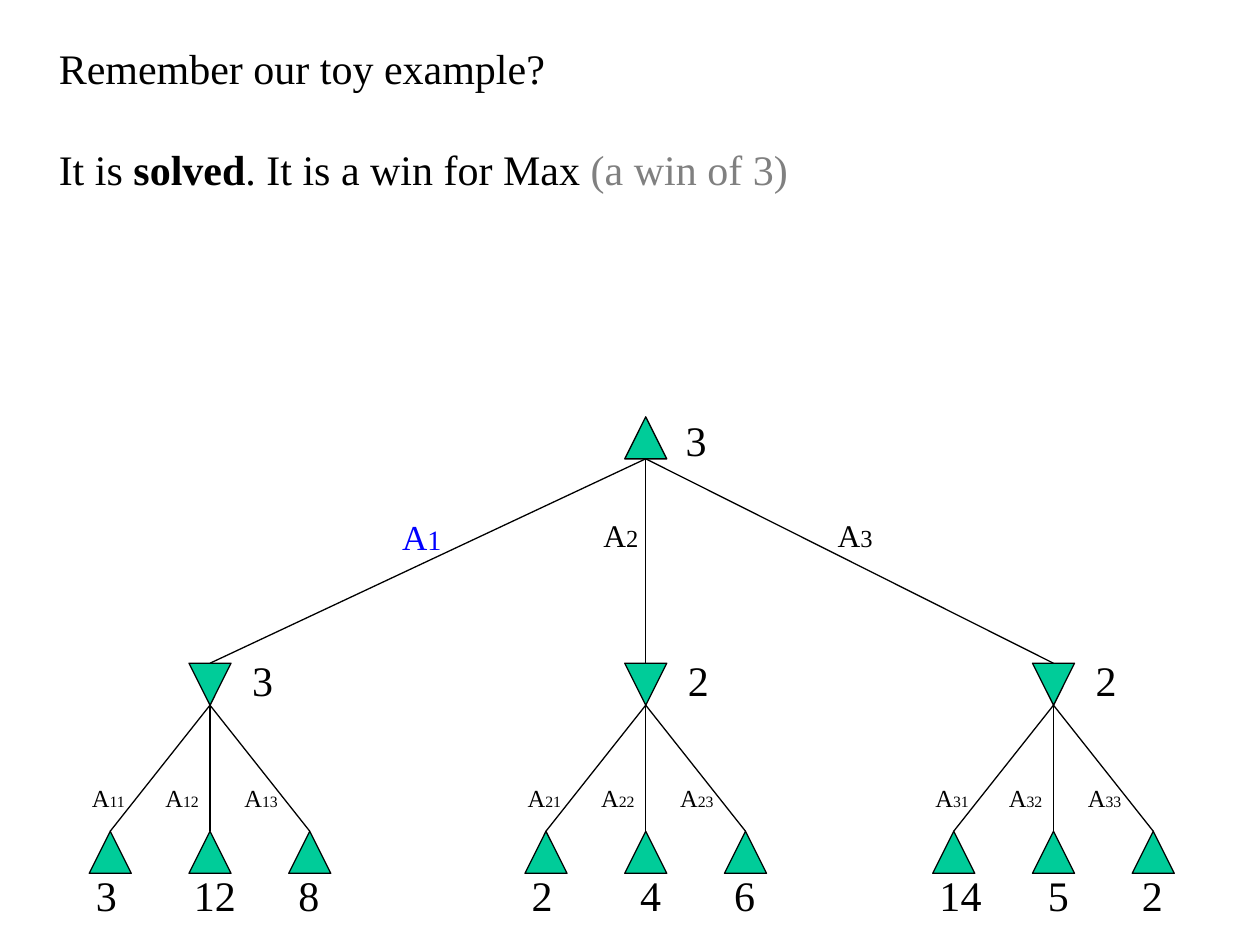
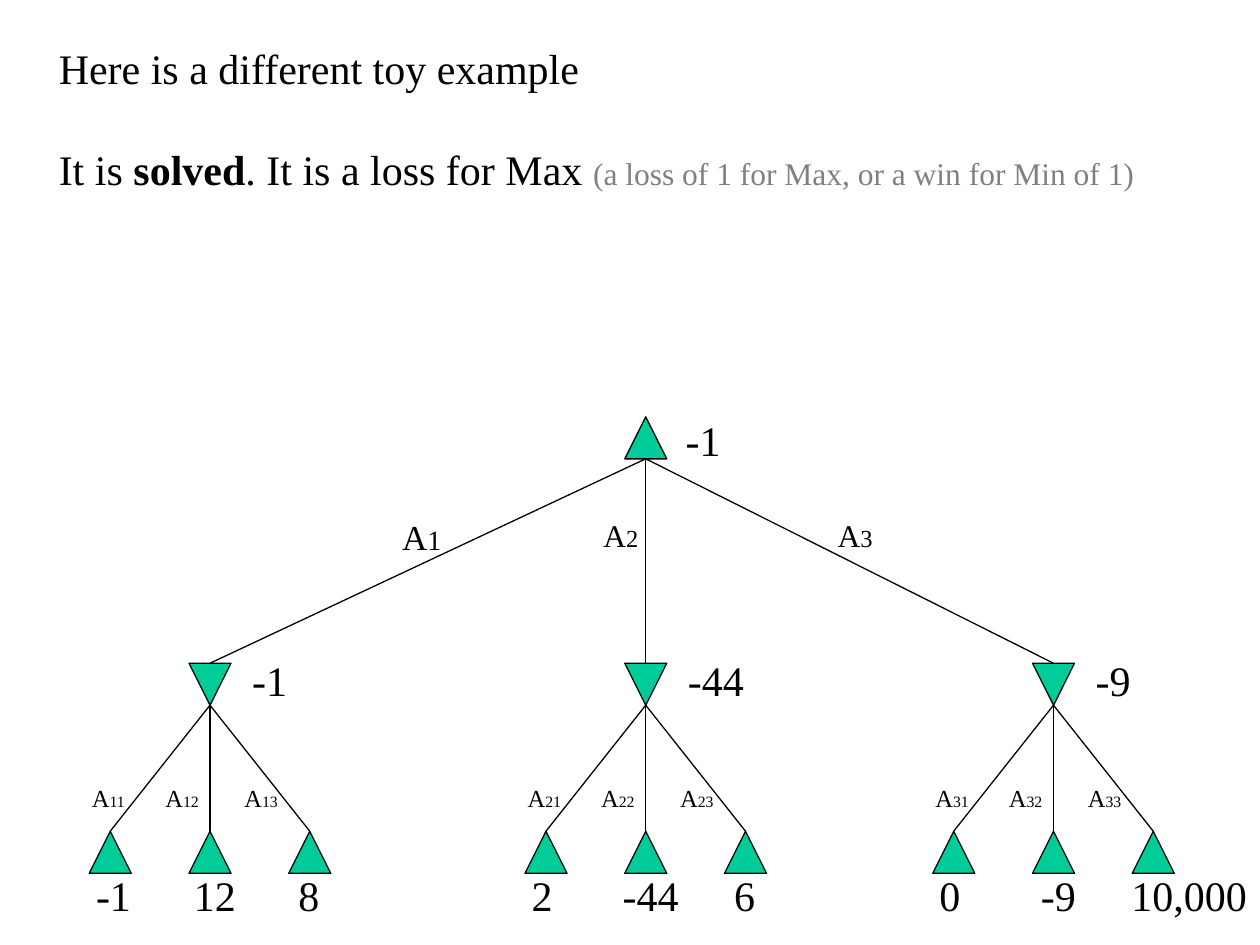
from lxml.etree import SubElement
from pptx import Presentation
from pptx.dml.color import RGBColor
from pptx.enum.shapes import MSO_CONNECTOR, MSO_SHAPE
from pptx.enum.text import MSO_ANCHOR, MSO_AUTO_SIZE, PP_ALIGN
from pptx.oxml.ns import qn
from pptx.util import Pt

FONT = "Times New Roman"
BLACK, GREY, BLUE, GREEN = "000000", "808080", "0000FF", "00CC99"

SLIDES = [
    {
        "heading": "Remember our toy example?",
        "verdict": ". It is a win for Max ",
        "aside": ("(a win of 3)", 24),
        "first_move": BLUE,
        "root": "3",
        "branches": [("3", ["3", "12", "8"]),
                     ("2", ["2", "4", "6"]),
                     ("2", ["14", "5", "2"])],
    },
    {
        "heading": "Here is a different toy example",
        "verdict": ". It is a loss for Max ",
        "aside": ("(a loss of 1 for Max, or a win for Min of 1)", 18),
        "first_move": BLACK,
        "root": "-1",
        "branches": [("-1", ["-1", "12", "8"]),
                     ("-44", ["2", "-44", "6"]),
                     ("-9", ["0", "-9", "10,000"])],
    },
]

WIDTH, HEIGHT = 720, 540
NODE = 24
ROOT_X, ROOT_Y = 369, 238.2
MIN_XS, MIN_Y = [120, 369, 602], 379
LEAF_STEP, LEAF_Y = 57, 475
MOVES = [(222.7, 20, 16), (337.7, 18, 14), (471.6, 18, 14)]
MOVE_Y = 291.2
REPLY_DX, REPLY_Y = [-74.6, -32.6, 12.5], 443.8
VALUE_DX, VALUE_Y = [-72.2, 2.8, 43.5], 493.2
CHAR_WIDTHS = {"-": 8, ",": 6}


def color(hex_code):
    return RGBColor.from_string(hex_code)


def add_run(p, text, size=24, hex_code=BLACK, bold=False):
    r = p.add_run()
    r.text = text
    r.font.name, r.font.size, r.font.bold = FONT, Pt(size), bold
    r.font.color.rgb = color(hex_code)


def add_label(s, x, y, w, h, runs, align=PP_ALIGN.LEFT):
    tf = s.shapes.add_textbox(Pt(x), Pt(y), Pt(w), Pt(h)).text_frame
    tf.word_wrap = False
    p = tf.paragraphs[0]
    p.alignment = align
    for run in runs:
        add_run(p, *run)


def add_value(s, x, y, value, centred=False):
    w = 14.6 + sum(CHAR_WIDTHS.get(c, 12) for c in value)
    left = x - w / 2 if centred else min(x, WIDTH - w)
    align = PP_ALIGN.CENTER if centred else PP_ALIGN.LEFT
    add_label(s, left, y, w, 36, [(value,)], align)


def add_node(s, x, y, is_min=False):
    sp = s.shapes.add_shape(MSO_SHAPE.ISOSCELES_TRIANGLE,
                            Pt(x - NODE / 2), Pt(y), Pt(NODE), Pt(NODE))
    sp.shadow.inherit = False
    sp.rotation = 180 if is_min else 0
    sp.fill.solid()
    sp.fill.fore_color.rgb = color(GREEN)
    sp.line.color.rgb = color(BLACK)
    sp.line.width = Pt(0.75)
    return sp


def add_edge(s, x1, y1, x2, y2):
    edge = s.shapes.add_connector(MSO_CONNECTOR.STRAIGHT,
                                  Pt(x1), Pt(y1), Pt(x2), Pt(y2))
    edge.line.color.rgb = color(BLACK)
    edge.line.width = Pt(0.75)
    SubElement(edge._element.spPr, qn("a:effectLst"))
    return edge


def add_heading(s, content):
    title = s.shapes.title
    title.left, title.top, title.width, title.height = map(Pt, (26.4, 20.9, 661, 94.3))
    tf = title.text_frame
    tf.word_wrap = True
    tf.auto_size = MSO_AUTO_SIZE.NONE
    tf.vertical_anchor = MSO_ANCHOR.TOP
    heading, verdict = tf.paragraphs[0], tf.add_paragraph()
    heading.alignment = verdict.alignment = PP_ALIGN.LEFT
    verdict.space_before = Pt(28.8)
    add_run(heading, content["heading"])
    add_run(verdict, "It is ")
    add_run(verdict, "solved", bold=True)
    add_run(verdict, content["verdict"])
    add_run(verdict, *content["aside"], GREY)


def add_branch(s, number, x, value, leaves):
    add_node(s, x, MIN_Y, is_min=True)
    add_value(s, x + 17, 370.3, value)
    for i, leaf in enumerate(leaves):
        leaf_x = x + (i - 1) * LEAF_STEP
        node = add_node(s, leaf_x, LEAF_Y)
        edge = add_edge(s, x, MIN_Y + NODE, leaf_x, LEAF_Y)
        edge.end_connect(node, 0)
        add_value(s, x + VALUE_DX[i], VALUE_Y, leaf, centred=i == 1)
        add_label(s, x + REPLY_DX[i], REPLY_Y, 34, 24,
                  [("A", 14), (f"{number}{i + 1}", 9)])


def add_tree(s, content):
    for i, (value, leaves) in enumerate(content["branches"]):
        add_edge(s, ROOT_X, ROOT_Y + NODE, MIN_XS[i], MIN_Y)
        add_branch(s, i + 1, MIN_XS[i], value, leaves)
        x, big, small = MOVES[i]
        hue = content["first_move"] if i == 0 else BLACK
        add_label(s, x, MOVE_Y, 2 * big, 30,
                  [("A", big, hue), (str(i + 1), small, hue)])
    add_node(s, ROOT_X, ROOT_Y)
    add_value(s, ROOT_X + 15.7, 233.3, content["root"])


def main():
    prs = Presentation()
    prs.slide_width, prs.slide_height = Pt(WIDTH), Pt(HEIGHT)
    for content in SLIDES:
        s = prs.slides.add_slide(prs.slide_layouts[5])
        add_heading(s, content)
        add_tree(s, content)
    prs.save("out.pptx")


if __name__ == "__main__":
    main()
